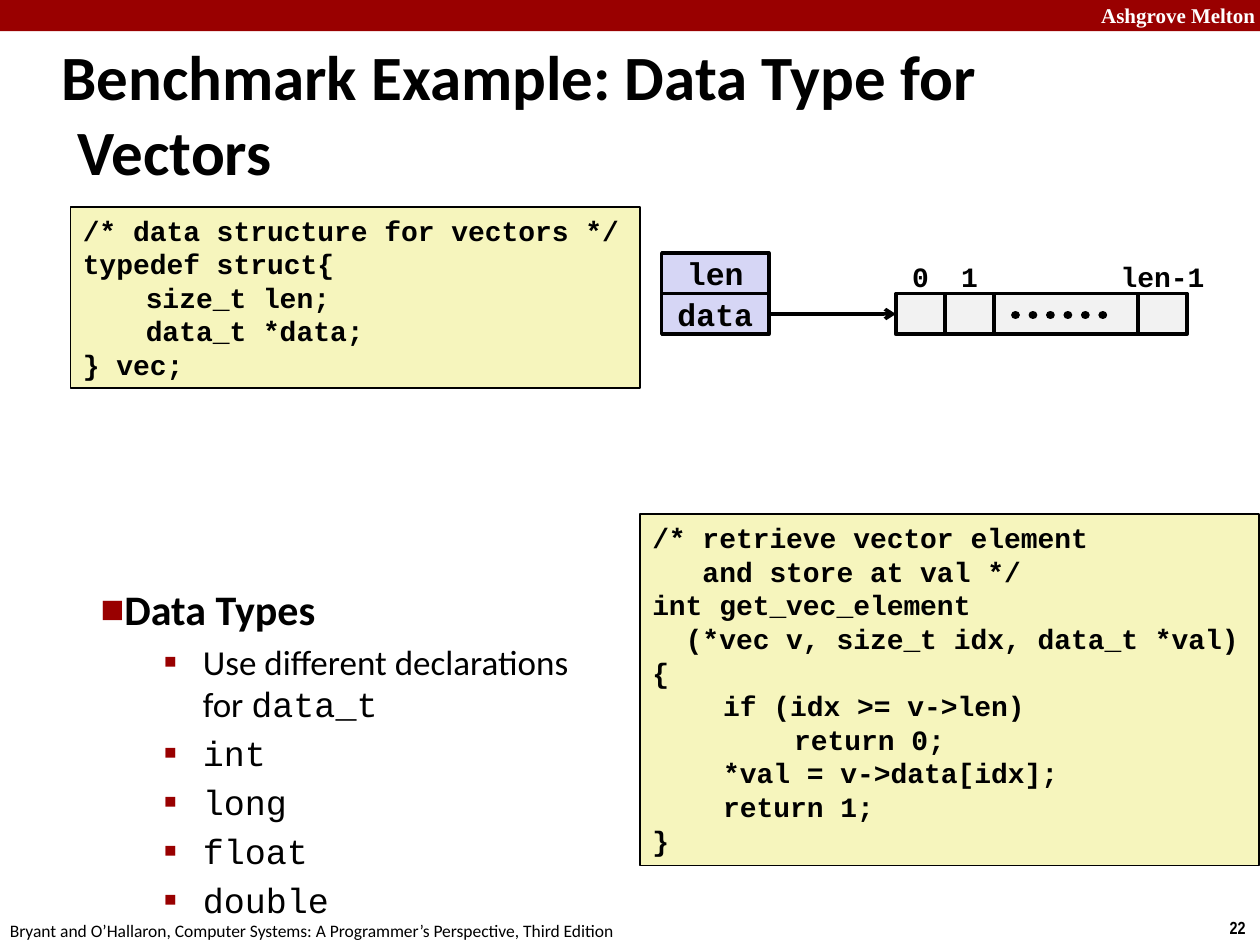
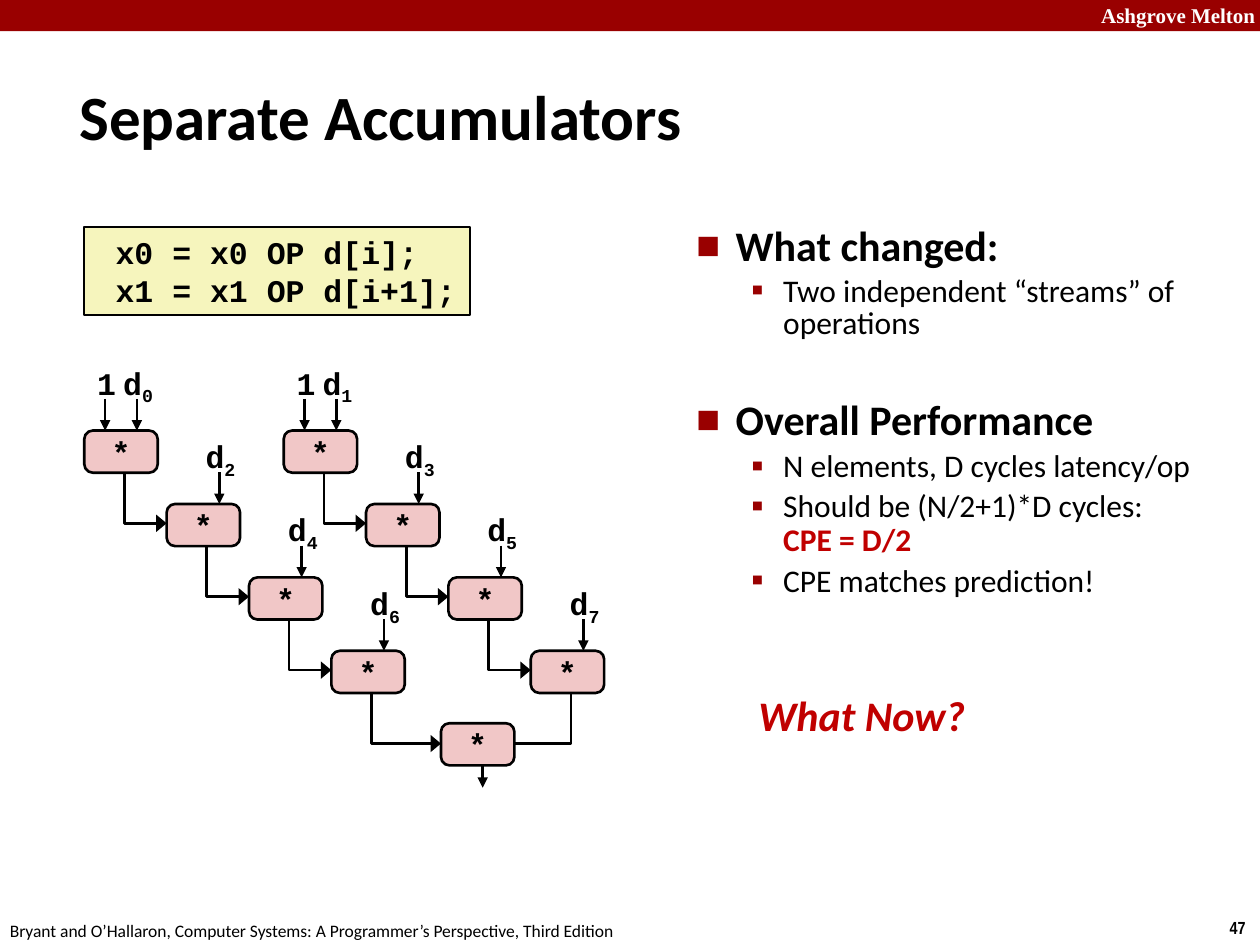
"""Build two lecture slides on vector data types and separate accumulators."""
from dataclasses import dataclass
from itertools import accumulate
from typing import NamedTuple

from lxml import etree
from pptx import Presentation
from pptx.dml.color import RGBColor
from pptx.enum.dml import MSO_LINE
from pptx.enum.shapes import MSO_CONNECTOR, MSO_SHAPE
from pptx.enum.text import MSO_ANCHOR, MSO_AUTO_SIZE, PP_ALIGN
from pptx.oxml.ns import qn
from pptx.util import Cm, Pt

RECT, ROUND = MSO_SHAPE.RECTANGLE, MSO_SHAPE.ROUNDED_RECTANGLE
LINE, DOTS = MSO_CONNECTOR.STRAIGHT, MSO_LINE.ROUND_DOT
TOP, MID = MSO_ANCHOR.TOP, MSO_ANCHOR.MIDDLE
LEFT, MIDDLE = PP_ALIGN.LEFT, PP_ALIGN.CENTER
GROW, FIXED = MSO_AUTO_SIZE.SHAPE_TO_FIT_TEXT, MSO_AUTO_SIZE.NONE

BLACK, WHITE, BAND, RED = "000000", "FFFFFF", "990000", "C00000"
CREAM, LILAC, GREY, PINK = "F6F5BD", "D6D6F5", "F2F2F2", "F1C7C7"
SANS, MONO, SERIF, SLIM = "Calibri", "Courier New", "Times New Roman", "Arial Narrow"
SCHOOL = "Ashgrove Melton"
BOOK = "Bryant and O’Hallaron, Computer Systems: A Programmer’s Perspective, Third Edition"


class Box(NamedTuple):
    x: float
    y: float
    w: float
    h: float


@dataclass
class Span:
    text: str
    font: str = SANS
    color: str = BLACK
    bold: bool = False


@dataclass
class Item:
    level: int
    spans: list[Span]
    size: float
    left: float
    hang: float
    space: float = 1.0
    gap: float = 0


def tint(code: str) -> RGBColor:
    return RGBColor.from_string(code)


def node(parent, tag: str, **attrs: str):
    child = etree.SubElement(parent, qn(tag))
    for key, value in attrs.items():
        child.set(key, value)
    return child


def write(para, text: str, *, font: str = SANS, size: float = 18, color: str = BLACK,
          bold: bool = False, italic: bool = False, sub: bool = False) -> None:
    for row, piece in enumerate(text.split("\n")):
        if row:
            para.add_line_break()
        if not piece:
            continue
        run = para.add_run()
        run.text = piece
        run.font.name, run.font.size = font, Pt(size)
        run.font.bold, run.font.italic = bold, italic
        run.font.color.rgb = tint(color)
        if sub:
            run.font._element.set("baseline", "-25000")


def setup(frame, *, wrap: bool = False, anchor=TOP, grow: bool = True,
          inset: tuple[float, float] = (0.25, 0.13)) -> None:
    frame.word_wrap, frame.vertical_anchor = wrap, anchor
    frame.auto_size = GROW if grow else FIXED
    frame.margin_left = frame.margin_right = Cm(inset[0])
    frame.margin_top = frame.margin_bottom = Cm(inset[1])


def place(slide, box: Box, **frame):
    area = slide.shapes.add_textbox(*map(Cm, box))
    setup(area.text_frame, **frame)
    return area.text_frame


def label(slide, box: Box, text: str, *, wrap: bool = False, align=LEFT, **style) -> None:
    para = place(slide, box, wrap=wrap).paragraphs[0]
    para.alignment = align
    write(para, text, **style)


def block(slide, box: Box, fill: str, *, kind=RECT, line: float = 0):
    shape = slide.shapes.add_shape(kind, *map(Cm, box))
    shape.shadow.inherit = False
    shape.fill.solid()
    shape.fill.fore_color.rgb = tint(fill)
    if line:
        shape.line.color.rgb, shape.line.width = tint(BLACK), Pt(line)
    else:
        shape.line.fill.background()
    return shape


def cell(slide, box: Box, text: str, fill: str, *, kind=RECT, line: float = 2):
    shape = block(slide, box, fill, kind=kind, line=line)
    if text:
        setup(shape.text_frame, anchor=MID, grow=False)
        para = shape.text_frame.paragraphs[0]
        para.alignment = MIDDLE
        write(para, text, font=MONO, bold=True)
    return shape


def stroke(slide, start: tuple[float, float], end: tuple[float, float], *,
           width: float = 1.5, head: str = "triangle") -> None:
    wire = slide.shapes.add_connector(LINE, *map(Cm, (*start, *end)))
    wire.line.color.rgb, wire.line.width = tint(BLACK), Pt(width)
    pen = wire.line._get_or_add_ln()
    if head:
        node(pen, "a:tailEnd", type=head)
    else:
        wire.line.dash_style = DOTS
        pen.set("cap", "rnd")
    node(wire._element.spPr, "a:effectLst")


def elbow(slide, x: float, y: float, end: tuple[float, float], *, head: bool = True) -> None:
    pen = slide.shapes.build_freeform(Cm(x), Cm(y))
    pen.add_line_segments([(Cm(x), Cm(end[1])), (Cm(end[0]), Cm(end[1]))], close=False)
    shape = pen.convert_to_shape()
    shape.shadow.inherit = False
    shape.fill.background()
    shape.line.color.rgb, shape.line.width = tint(BLACK), Pt(1.5)
    if head:
        node(shape.line._get_or_add_ln(), "a:tailEnd", type="triangle", w="lg")


def code(slide, box: Box, text: str, *, size: float, line: float = 1,
         tab: float = 1.27) -> None:
    frame = block(slide, box, CREAM, line=line).text_frame
    setup(frame)
    for row, words in enumerate(text.split("\n")):
        para = frame.add_paragraph() if row else frame.paragraphs[0]
        para.alignment = LEFT
        write(para, words, font=MONO, size=size, bold=True)
        if "\t" in words:
            tabs = node(para._p.get_or_add_pPr(), "a:tabLst")
            for stop in (1, 2):
                node(tabs, "a:tab", pos=str(Cm(tab * stop)), algn="l")


def points(slide, box: Box, items: list[Item]) -> None:
    frame = place(slide, box, wrap=True, grow=False)
    for row, item in enumerate(items):
        para = frame.add_paragraph() if row else frame.paragraphs[0]
        para.level = item.level
        para.line_spacing = item.space
        para.space_before = Pt(item.size * 0.2 + item.gap)
        props = para._p.get_or_add_pPr()
        props.set("marL", str(Cm(item.left)))
        props.set("indent", str(Cm(-item.hang)))
        node(node(props, "a:buClr"), "a:srgbClr", val=BAND)
        node(props, "a:buSzPct", val="110000" if item.level else "60000")
        node(props, "a:buFont", typeface=SANS)
        node(props, "a:buChar", char="▪" if item.level else "■")
        for span in item.spans:
            write(para, span.text, font=span.font, size=item.size,
                  color=span.color, bold=span.bold)


def start(deck, title: str, box: Box, page: int):
    slide = deck.slides.add_slide(deck.slide_layouts[5])
    block(slide, Box(0, 0, 25.4, 0.63), BAND)
    label(slide, Box(21.95, -0.08, 3.63, 0.76), SCHOOL, wrap=True,
          font=SERIF, size=12, color=WHITE, bold=True)
    label(slide, Box(24.54, 18.36, 0.86, 0.69), str(page), font=SLIM, size=10, bold=True)
    label(slide, Box(-0.05, 18.41, 12.9, 0.69), BOOK, size=10)
    head = slide.shapes.title
    head.left, head.top, head.width, head.height = map(Cm, box)
    setup(head.text_frame, wrap=True, anchor=MID, grow=False)
    para = head.text_frame.paragraphs[0]
    para.alignment = LEFT
    props = para._p.get_or_add_pPr()
    props.set("marL", str(Cm(0.33)))
    props.set("indent", str(Cm(-0.33)))
    write(para, title, size=36, bold=True)
    return slide


def vectors(deck) -> None:
    slide = start(deck, "Benchmark Example: Data Type for Vectors",
                  Box(0.99, 1.22, 21.08, 2.11), 22)
    code(slide, Box(1.42, 4.17, 11.48, 3.66),
         "/* data structure for vectors */\ntypedef struct{\n\tsize_t len;\n"
         "\tdata_t *data;\n} vec;", size=16)
    code(slide, Box(12.9, 10.37, 12.48, 7.08),
         "/* retrieve vector element\n   and store at val */\nint get_vec_element\n"
         "  (*vec v, size_t idx, data_t *val)\n{\n\tif (idx >= v->len)\n"
         "\t\treturn 0;\n\t*val = v->data[idx];\n\treturn 1;\n}", size=16, tab=1.43)

    top, high = 5.1, 0.82
    base = top + high
    for row, name in enumerate(("len", "data")):
        cell(slide, Box(13.34, top + row * high, 2.16, high), name, LILAC)
    widths = (0.99, 0.99, 2.9, 0.99)
    lefts = accumulate(widths[:-1], initial=18.06)
    for x, wide, name in zip(lefts, widths, ("0", "1", "", "len-1")):
        cell(slide, Box(x, base, wide, high), "", GREY)
        if name:
            room = 0.5 + 0.35 * len(name)
            label(slide, Box(x + (wide - room) / 2, top, room, 0.94), name,
                  align=MIDDLE, font=MONO, size=16, bold=True)
    stroke(slide, (15.5, 6.33), (18.06, 6.33), width=2, head="arrow")
    stroke(slide, (20.47, 6.35), (22.5, 6.35), width=5, head="")

    rows = [[Span("Use different declarations for "), Span("data_t", MONO)]]
    rows += [[Span(name, MONO)] for name in ("int", "long", "float", "double")]
    points(slide, Box(1.78, 11.63, 10.74, 6.17),
           [Item(0, [Span("Data Types", bold=True)], 24, 0, 0)]
           + [Item(1, row, 20, 2.06, 0.79) for row in rows])


def tree(slide) -> None:
    wide, high, drop = 1.48, 0.85, 1.48
    mono = {"font": MONO, "bold": True}

    def star(x: float, y: float) -> None:
        shape = cell(slide, Box(x, y, wide, high), "*", PINK, kind=ROUND, line=1.5)
        shape.adjustments[0] = 0.2

    def feed(x: float, y: float, room: float, text: str, sub: str = "") -> None:
        frame = place(slide, Box(x, y - drop, room, 1.02), inset=(0.13, 0.13))
        para = frame.paragraphs[0]
        para.alignment = MIDDLE
        write(para, text, **mono)
        write(para, sub, sub=True, **mono)

    stroke(slide, (9.73, 15.24), (9.73, 15.88))
    last = Box(8.89, 14.58, wide, high)
    star(last.x, last.y)
    for chain in range(2):
        for step in range(4):
            x, y = 1.7 + 4.02 * chain + 1.66 * step, 8.68 + drop * step
            star(x, y)
            feed(x + 0.64, y, 0.89, "d", str(2 * step + chain))
            stroke(slide, (x + 1.06, y - 0.64), (x + 1.06, y))
            if step:
                elbow(slide, x - 0.85, y + high - drop, (x, y + 0.39))
            else:
                feed(x + 0.13, y, 0.64, "1")
                stroke(slide, (x + 0.42, y - 0.64), (x + 0.42, y))
        side = last.x + wide * chain
        elbow(slide, x + 0.81, y + high, (side, last.y + 0.41), head=not chain)


def streams(deck) -> None:
    slide = start(deck, "Separate Accumulators", Box(1.35, 1.27, 21.08, 2.11), 47)
    tree(slide)
    code(slide, Box(1.7, 4.57, 7.77, 1.78),
         " x0 = x0 OP d[i];\n x1 = x1 OP d[i+1];", size=18)

    def head(text: str, gap: float = 0) -> Item:
        return Item(0, [Span(text, bold=True)], 24, 0.79, 0.79, 0.85, gap)

    def note(text: str, *more: Span, space: float = 0.9) -> Item:
        return Item(1, [Span(text), *more], 18, 1.75, 0.64, space)

    points(slide, Box(13.79, 4.45, 10.97, 8.69), [
        head("What changed:"),
        note("Two independent “streams” of operations", space=0.85),
        head("Overall Performance", 29.7),
        note("N elements, D cycles latency/op"),
        note("Should be (N/2+1)*D cycles:\n", Span("CPE = D/2", color=RED, bold=True)),
        note("CPE matches prediction!")])
    label(slide, Box(15.04, 13.77, 4.72, 1.27), "What Now?",
          size=24, color=RED, bold=True, italic=True)


def main() -> None:
    deck = Presentation()
    deck.slide_width, deck.slide_height = Cm(25.4), Cm(19.05)
    vectors(deck)
    streams(deck)
    deck.save("out.pptx")


main()
